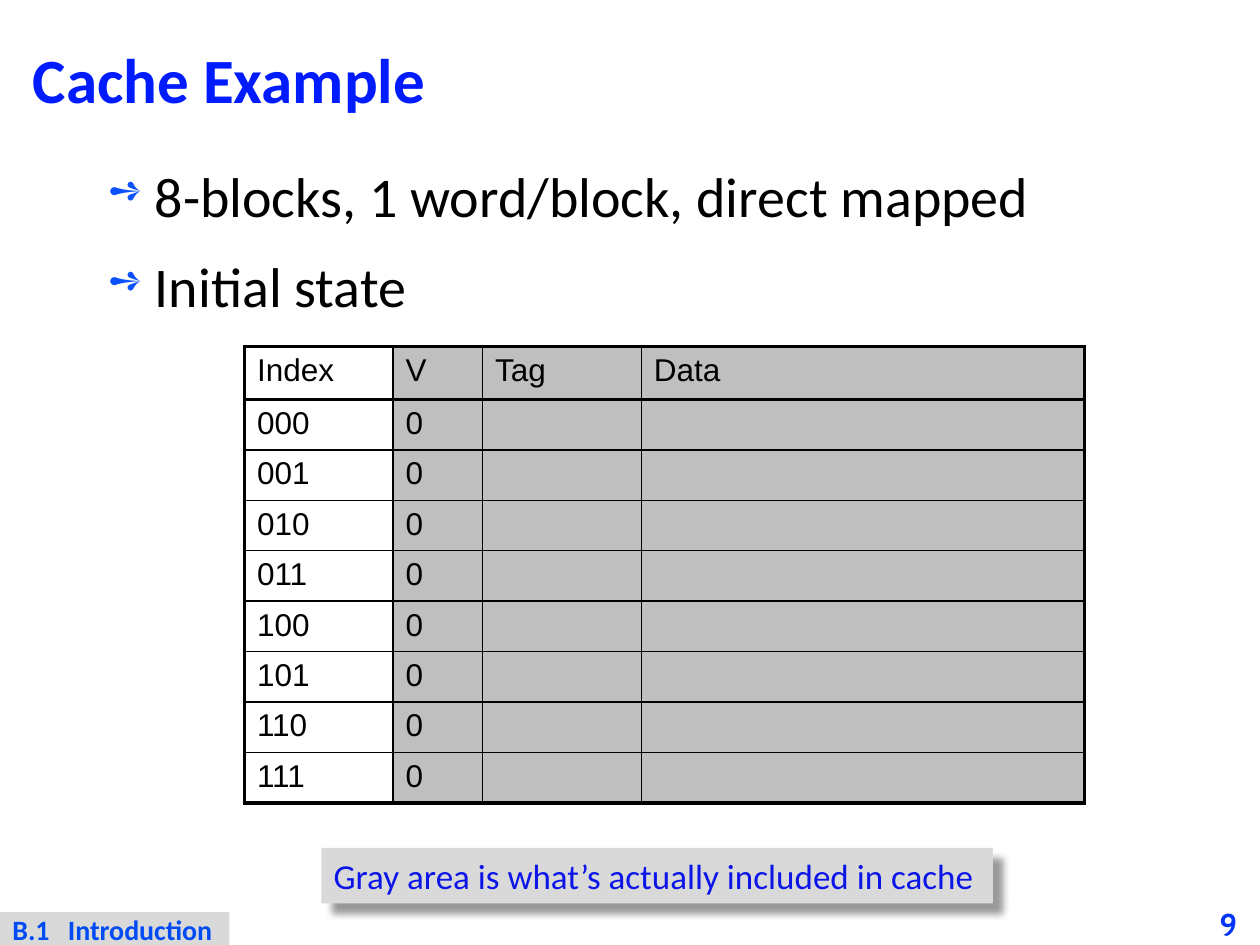
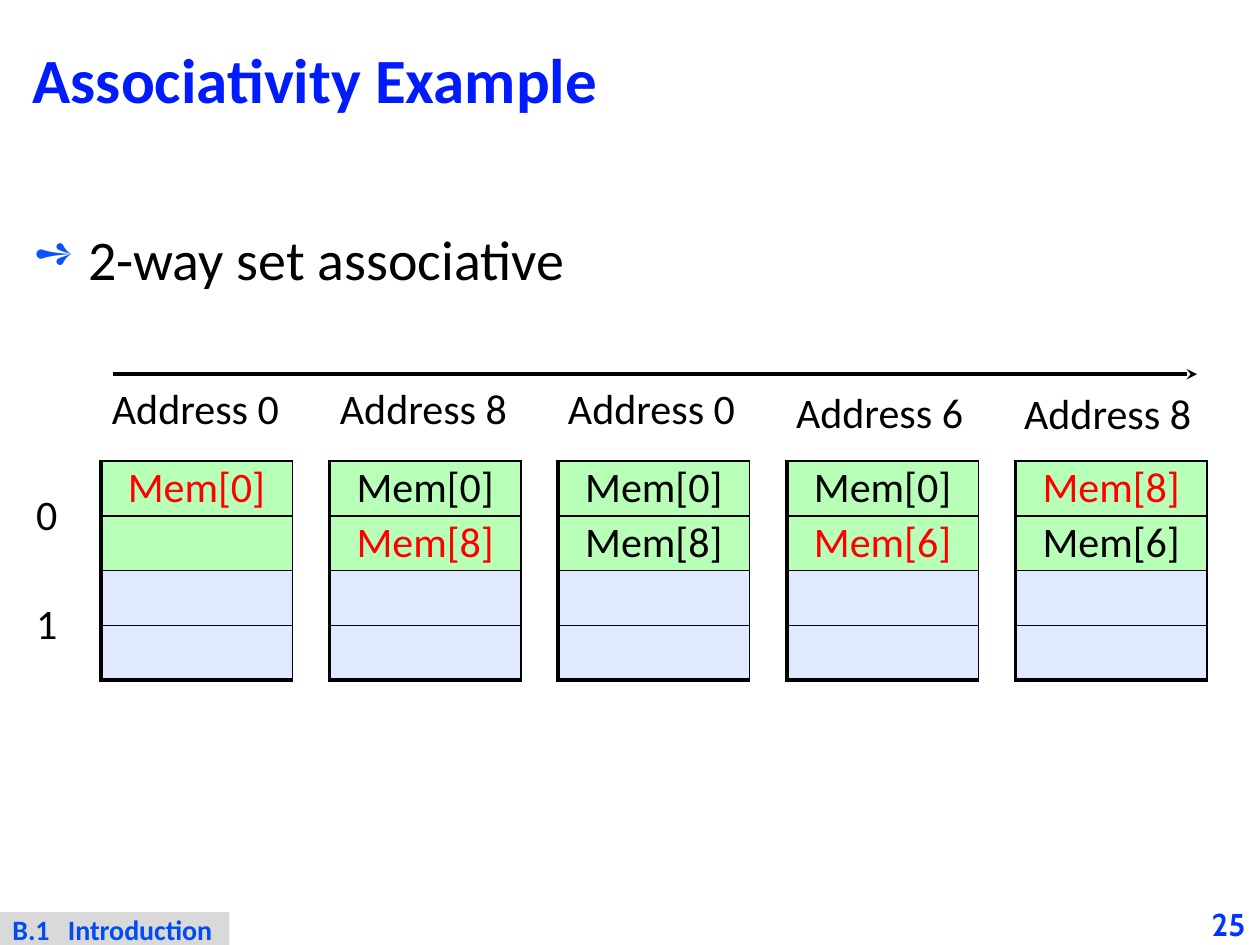
from lxml.etree import SubElement
from pptx import Presentation
from pptx.dml.color import RGBColor
from pptx.enum.shapes import MSO_CONNECTOR, MSO_SHAPE
from pptx.enum.text import MSO_ANCHOR, PP_ALIGN
from pptx.oxml.ns import qn
from pptx.util import Inches, Pt

BLACK, RED, GRAY = "000000", "FF0000", "D9D9D9"
TITLE_BLUE, BULLET_BLUE = "001CFE", "0B52FC"
NUMBER_BLUE, SECTION_BLUE, NOTE_BLUE = "0136F8", "004BF3", "0B15E7"
CACHED, SET_0, SET_1 = "BFBFBF", "B8FFB8", "DFE9FF"
THICK, MEDIUM, THIN = 2.25, 1.5, 1

SECTION = "B.1\tIntroduction"
CACHE_POINTS = ["8-blocks, 1 word/block, direct mapped", "Initial state"]
CACHE_HEADER = ["Index", "V", "Tag", "Data"]
CACHE_COLS = [1.18, 0.71, 1.26, 3.52]
CACHE_ROWS = [0.42] + [0.4] * 8
CACHE_CELLS = [CACHE_HEADER] + [[f"{i:03b}", "0", "", ""] for i in range(8)]
CACHE_NOTE = "Gray area is what’s actually included in cache"

ASSOC_POINTS = ["2-way set associative"]
ACCESSES = [
    ("Address 0", 2.99, ["Mem[0]", ""], "Mem[0]"),
    ("Address 8", 2.99, ["Mem[0]", "Mem[8]"], "Mem[8]"),
    ("Address 0", 2.99, ["Mem[0]", "Mem[8]"], None),
    ("Address 6", 3.02, ["Mem[0]", "Mem[6]"], "Mem[6]"),
    ("Address 8", 3.03, ["Mem[8]", "Mem[6]"], "Mem[8]"),
]
SETS_LEFT, SETS_TOP, SETS_STEP, SETS_WIDTH, SETS_HEIGHT = 0.8, 3.66, 1.815, 1.52, 1.74


def rgb(color):
    return RGBColor.from_string(color)


def style(p, size, color, font="Calibri", bold=False, align=PP_ALIGN.LEFT):
    p.alignment = align
    for r in p.runs:
        r.font.size, r.font.name, r.font.bold = Pt(size), font, bold
        r.font.color.rgb = rgb(color)


def set_margins(target, x, y):
    target.margin_left = target.margin_right = Inches(x)
    target.margin_top = target.margin_bottom = Inches(y)


def add_text(s, text, box, size, color, margins=(0.1, 0.05), wrap=False, **kw):
    tf = s.shapes.add_textbox(*map(Inches, box)).text_frame
    tf.text, tf.word_wrap = text, wrap
    set_margins(tf, *margins)
    style(tf.paragraphs[0], size, color, **kw)
    return tf


def add_band(s, text, box, size, color, margins=(0.1, 0.05), **kw):
    sp = s.shapes.add_shape(MSO_SHAPE.RECTANGLE, *map(Inches, box))
    sp.shadow.inherit = False
    sp.fill.solid()
    sp.fill.fore_color.rgb = rgb(GRAY)
    sp.line.fill.background()
    tf = sp.text_frame
    tf.text, tf.vertical_anchor = text, MSO_ANCHOR.TOP
    set_margins(tf, *margins)
    style(tf.paragraphs[0], size, color, **kw)
    return sp


def add_shadow(sp):
    effects = sp._element.spPr.find(qn("a:effectLst"))
    shadow = SubElement(effects, qn("a:outerShdw"), blurRad=str(Pt(4)),
                        dist=str(Pt(8)), dir=str(45 * 60000), algn="tl", rotWithShape="0")
    color = SubElement(shadow, qn("a:srgbClr"), val=BLACK)
    SubElement(color, qn("a:alpha"), val="40000")


def add_slide(prs, title, number):
    s = prs.slides.add_slide(prs.slide_layouts[5])
    sp = s.shapes.title
    sp.left, sp.top, sp.width, sp.height = map(Inches, (0.16, 0.16, 9.68, 1.01))
    tf = sp.text_frame
    tf.text, tf.vertical_anchor = title, MSO_ANCHOR.MIDDLE
    tf.paragraphs[0].line_spacing = 0.87
    style(tf.paragraphs[0], 36, TITLE_BLUE, bold=True)
    tf = add_text(s, str(number), (9.5, 7.17, 0.5, 0.33), 18, NUMBER_BLUE, (0, 0),
                  wrap=True, font="Cabin", bold=True, align=PP_ALIGN.CENTER)
    tf.vertical_anchor = MSO_ANCHOR.MIDDLE
    band = add_band(s, SECTION, (0, 7.24, 1.82, 0.27), 16, SECTION_BLUE, (0.1, 0), bold=True)
    tabs = SubElement(band.text_frame.paragraphs[0]._p.get_or_add_pPr(), qn("a:tabLst"))
    SubElement(tabs, qn("a:tab"), pos=str(Inches(0.44)), algn="l")
    return s


def add_bullets(s, points, box, indent, bullet_size):
    tf = s.shapes.add_textbox(*map(Inches, box)).text_frame
    tf.text, tf.word_wrap = "\n".join(points), True
    for i, p in enumerate(tf.paragraphs):
        p.space_before, p.space_after = Pt(10 if i else 0), Pt(3)
        pPr = p._p.get_or_add_pPr()
        pPr.set("marL", str(Inches(indent)))
        pPr.set("indent", str(-Inches(indent - 0.01)))
        SubElement(SubElement(pPr, qn("a:buClr")), qn("a:srgbClr"), val=BULLET_BLUE)
        SubElement(pPr, qn("a:buSzPct"), val=str(bullet_size * 1000))
        SubElement(pPr, qn("a:buChar"), char="➺")
        style(p, 32, BLACK)


def add_grid(s, left, top, cols, rows):
    shape = s.shapes.add_table(len(rows), len(cols), Inches(left), Inches(top),
                               Inches(sum(cols)), Inches(sum(rows)))
    table = shape.table
    table.first_row = table.horz_banding = False
    for col, width in zip(table.columns, cols):
        col.width = Inches(width)
    for row, height in zip(table.rows, rows):
        row.height = Inches(height)
    return table


def fill_cell(cell, text, size, color, fill=None, borders=None, margin_y=0.05, **kw):
    cell.text = text
    set_margins(cell, 0.1, margin_y)
    style(cell.text_frame.paragraphs[0], size, color, **kw)
    tcPr = cell._tc.get_or_add_tcPr()
    for side, width in zip("LRTB", borders or [0] * 4):
        ln = SubElement(tcPr, qn(f"a:ln{side}"), w=str(Pt(width)))
        if width:
            SubElement(SubElement(ln, qn("a:solidFill")), qn("a:srgbClr"), val=BLACK)
        else:
            SubElement(ln, qn("a:noFill"))
    if fill:
        cell.fill.solid()
        cell.fill.fore_color.rgb = rgb(fill)
    else:
        cell.fill.background()


def add_cache_slide(prs):
    s = add_slide(prs, "Cache Example", 9)
    add_bullets(s, CACHE_POINTS, (0.75, 1.23, 9.05, 1.46), 0.38, 73)
    table = add_grid(s, 1.94, 2.75, CACHE_COLS, CACHE_ROWS)
    last_row, last_col = len(CACHE_ROWS) - 1, len(CACHE_COLS) - 1
    for i, row in enumerate(CACHE_CELLS):
        top = {0: THICK, 1: MEDIUM}.get(i, THIN)
        bottom = {0: MEDIUM, last_row: THICK}.get(i, THIN)
        for j, text in enumerate(row):
            borders = (THIN if j else THICK, THICK if j == last_col else THIN, top, bottom)
            fill_cell(table.cell(i, j), text, 18, BLACK, CACHED if j else None,
                      borders, font="Arial")
    add_shadow(add_band(s, CACHE_NOTE, (2.55, 6.73, 5.33, 0.44), 20, NOTE_BLUE))


def add_associativity_slide(prs):
    s = add_slide(prs, "Associativity Example", 25)
    add_bullets(s, ASSOC_POINTS, (0.16, 1.73, 9.68, 5.44), 0.44, 85)

    def fill_centered(cell, text, color, *args):
        fill_cell(cell, text, 24, color, *args, margin_y=0, align=PP_ALIGN.CENTER)
        cell.vertical_anchor = MSO_ANCHOR.MIDDLE

    labels = add_grid(s, 0.02, SETS_TOP, [0.7], [SETS_HEIGHT / 2] * 2)
    for i in range(2):
        fill_centered(labels.cell(i, 0), str(i), BLACK)

    for n, (address, top, blocks, loaded) in enumerate(ACCESSES):
        left = SETS_LEFT + n * SETS_STEP
        add_text(s, address, (0.79 + n * 1.81, top, 1.53, 0.5), 24, BLACK)
        table = add_grid(s, left, SETS_TOP, [SETS_WIDTH], [SETS_HEIGHT / 4] * 4)
        for i, text in enumerate(blocks + ["", ""]):
            borders = (THICK, THIN, THIN, THICK if i == 3 else THIN)
            fill_centered(table.cell(i, 0), text, RED if text == loaded else BLACK,
                          SET_0 if i < 2 else SET_1, borders)

    time = s.shapes.add_connector(MSO_CONNECTOR.STRAIGHT, *map(Inches, (0.9, 2.97, 9.5, 2.97)))
    time.line.color.rgb = rgb(BLACK)
    time.line.width = Pt(2)
    SubElement(time.line._get_or_add_ln(), qn("a:tailEnd"), type="stealth")
    SubElement(time._element.spPr, qn("a:effectLst"))


def main():
    prs = Presentation()
    prs.slide_width, prs.slide_height = Inches(10), Inches(7.5)
    add_cache_slide(prs)
    add_associativity_slide(prs)
    prs.save("out.pptx")


if __name__ == "__main__":
    main()
